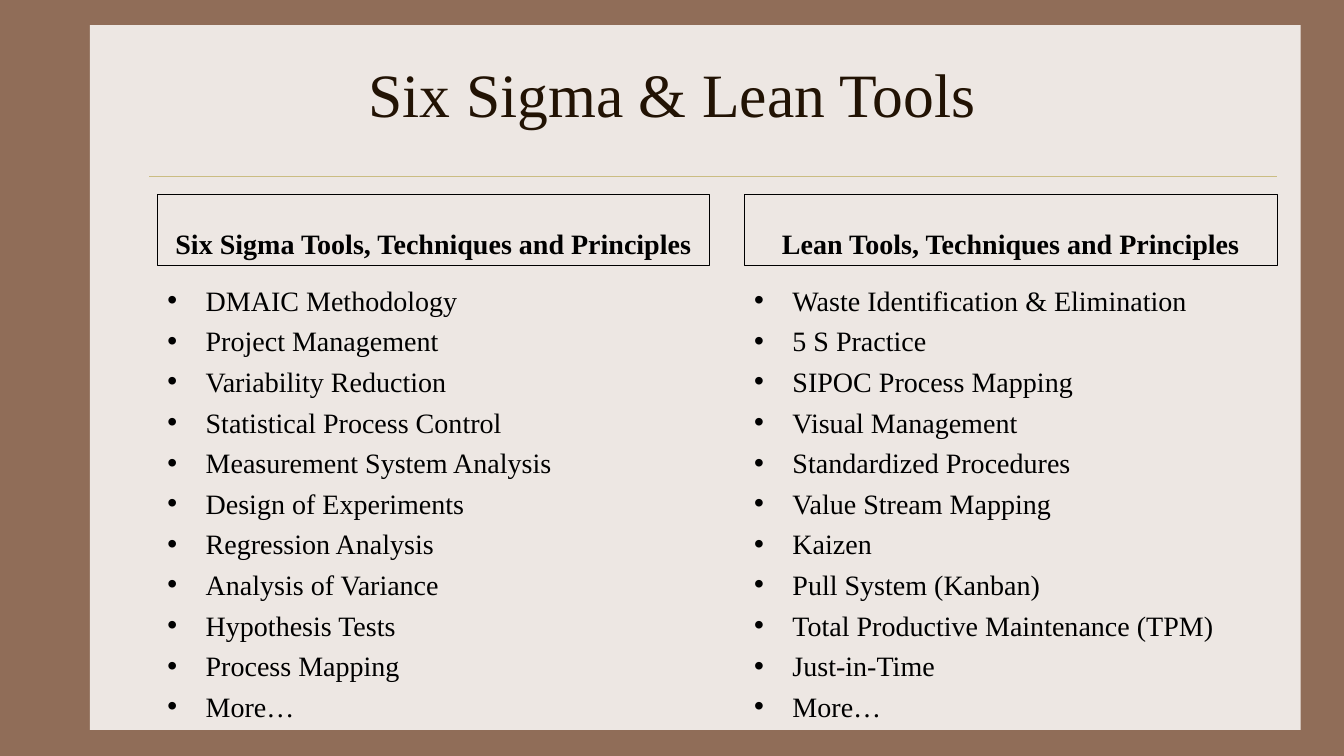
from dataclasses import dataclass

from lxml.etree import SubElement
from pptx import Presentation
from pptx.dml.color import RGBColor
from pptx.enum.shapes import MSO_CONNECTOR as Link, MSO_SHAPE as Shape
from pptx.enum.text import MSO_ANCHOR as Anchor, MSO_AUTO_SIZE as Fit, PP_ALIGN as Align
from pptx.oxml.ns import qn
from pptx.util import Inches, Pt

BROWN = RGBColor(0x90, 0x6D, 0x58)
CREAM = RGBColor(0xED, 0xE7, 0xE3)
GOLD = RGBColor(0xCB, 0xBD, 0x83)
DARK = RGBColor(0x22, 0x13, 0x04)
BLACK = RGBColor(0, 0, 0)
FONT = "Times New Roman"
INDENT = Inches(0.38)


@dataclass
class Column:
    left: float
    width: float
    head: str
    tools: list[str]
    slot: int  # placeholder index of the heading; its list comes next


COLUMNS = [
    Column(1.56, 5.48, "Six Sigma Tools, Techniques and Principles", [
        "DMAIC Methodology", "Project Management", "Variability Reduction",
        "Statistical Process Control", "Measurement System Analysis",
        "Design of Experiments", "Regression Analysis", "Analysis of Variance",
        "Hypothesis Tests", "Process Mapping", "More…"], 1),
    Column(7.38, 5.29, "Lean Tools, Techniques and Principles", [
        "Waste Identification & Elimination", "5 S Practice",
        "SIPOC Process Mapping", "Visual Management", "Standardized Procedures",
        "Value Stream Mapping", "Kaizen", "Pull System (Kanban)",
        "Total Productive Maintenance (TPM)", "Just-in-Time", "More…"], 3),
]


def fill_text(box, lines: list[str], place: tuple, size: int, color: RGBColor,
              anchor: Anchor, align: Align, bold: bool = False,
              gap: float = 0) -> None:
    """Place a placeholder and set its formatted text."""
    box.left, box.top, box.width, box.height = map(Inches, place)
    frame = box.text_frame
    frame.text = "\n".join(lines)
    frame.auto_size = Fit.NONE
    frame.word_wrap = True
    frame.vertical_anchor = anchor
    for para in frame.paragraphs:
        para.alignment = align
        para.space_before = Pt(gap)
        font = para.runs[0].font
        font.name, font.size, font.bold = FONT, Pt(size), bold
        font.color.rgb = color


def add_bullets(box) -> None:
    """Give each paragraph a round bullet and a hanging indent."""
    for para in box.text_frame.paragraphs:
        props = para._p.get_or_add_pPr()
        props.set("marL", str(INDENT))
        props.set("indent", str(-INDENT))
        SubElement(props, qn("a:buFont")).set("typeface", "Arial")
        SubElement(props, qn("a:buChar")).set("char", "•")


def add_back(slide) -> None:
    """Draw the panel and the rule behind the text."""
    fill = slide.background.fill
    fill.solid()
    fill.fore_color.rgb = BROWN

    panel = slide.shapes.add_shape(
        Shape.RECTANGLE, *map(Inches, (0.89, 0.25, 12.01, 6.99)))
    panel.shadow.inherit = False
    panel.fill.solid()
    panel.fill.fore_color.rgb = CREAM
    panel.line.fill.background()

    rule = slide.shapes.add_connector(
        Link.STRAIGHT, *map(Inches, (1.48, 1.75, 12.67, 1.75)))
    rule.line.color.rgb = GOLD
    rule.line.width = Pt(0.25)
    SubElement(rule.element.spPr, qn("a:effectLst"))

    for item in (panel, rule):
        slide.shapes.title.element.addprevious(item.element)


def add_column(slide, col: Column) -> None:
    """Fill one framed heading and the list under it."""
    slots = {box.placeholder_format.idx: box for box in slide.placeholders}
    head, body = slots[col.slot], slots[col.slot + 1]
    fill_text(head, [col.head], (col.left, 1.93, col.width, 0.7), 20, BLACK,
              Anchor.BOTTOM, Align.CENTER, bold=True, gap=5)
    head.line.color.rgb = BLACK
    head.line.width = Pt(0.75)
    fill_text(body, col.tools, (col.left, 2.76, col.width, 3.94), 20, BLACK,
              Anchor.TOP, Align.LEFT, gap=5)
    add_bullets(body)


def main() -> None:
    deck = Presentation()
    deck.slide_width, deck.slide_height = Inches(13.33), Inches(7.5)
    slide = deck.slides.add_slide(deck.slide_layouts.get_by_name("Comparison"))
    add_back(slide)
    fill_text(slide.shapes.title, ["Six Sigma & Lean Tools"],
              (0.67, 0.3, 12, 1.25), 44, DARK, Anchor.MIDDLE, Align.CENTER)
    for col in COLUMNS:
        add_column(slide, col)
    deck.save("out.pptx")


if __name__ == "__main__":
    main()
